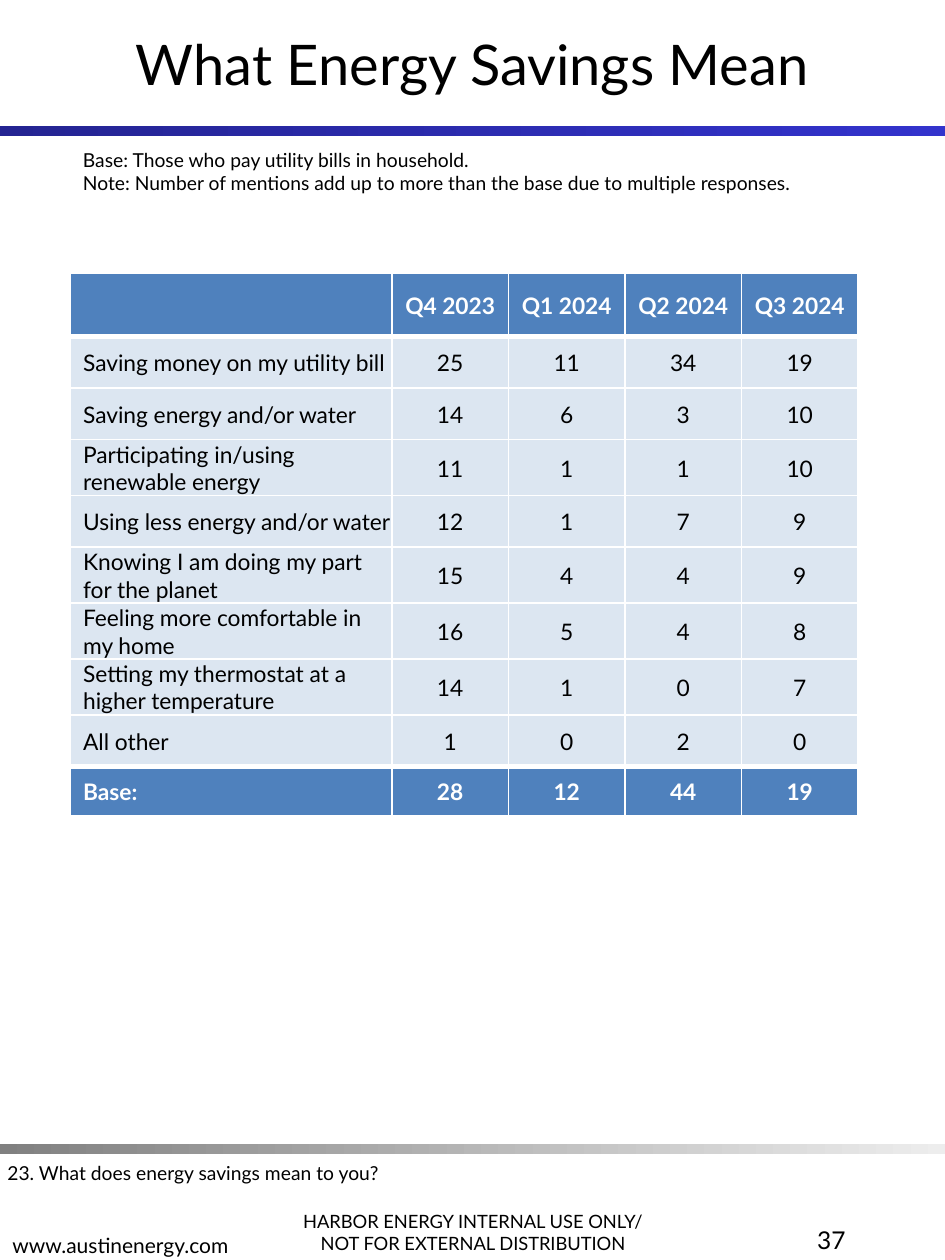
import pptx
import pptx.util
import pptx.dml.color
import pptx.enum.shapes
import pptx.enum.text
import pptx.oxml

WIDE, HIGH = 7.5, 10
FONT = "Lato"
BLACK, WHITE, BLUE, PALE = "000000", "FFFFFF", "4F81BD", "DCE6F1"
TITLE = "What Energy Savings Mean"
BARS = [(1, "242492", "3333CC"), (9.08, "808080", "EDEDED")]
ROWS = [
    ("", "Q4 2023", "Q1 2024", "Q2 2024", "Q3 2024"),
    ("Saving money on my utility bill", 25, 11, 34, 19),
    ("Saving energy and/or water", 14, 6, 3, 10),
    ("Participating in/using renewable energy", 11, 1, 1, 10),
    ("Using less energy and/or water", 12, 1, 7, 9),
    ("Knowing I am doing my part for the planet", 15, 4, 4, 9),
    ("Feeling more comfortable in my home", 16, 5, 4, 8),
    ("Setting my thermostat at a higher temperature", 14, 1, 0, 7),
    ("All other", 1, 0, 2, 0),
    ("Base:", 28, 12, 44, 19),
]
GRID = (0.56, 2.17, 6.25, 4.17)
FIRST, HEAD, BODY, FOOT = 2.55, 0.5, 0.41, 0.39
ALIGN = pptx.enum.text.PP_ALIGN
ANCHOR = pptx.enum.text.MSO_ANCHOR
NOTES = [
    ((2.16, 9.33, 3.19, 0.67), 10.5, ALIGN.CENTER, ANCHOR.BOTTOM, True,
     ["HARBOR ENERGY INTERNAL USE ONLY/", "NOT FOR EXTERNAL DISTRIBUTION"]),
    ((0, 9.36, 3.19, 0.67), 12, ALIGN.LEFT, ANCHOR.BOTTOM, True,
     ["www.austinenergy.com"]),
    ((5.25, 9.67, 1.56, 0.67), 14, ALIGN.RIGHT, ANCHOR.TOP, True, ["37"]),
    ((-0.04, 9.17, 6.85, 0.29), 11, ALIGN.LEFT, ANCHOR.TOP, True,
     ["23. What does energy savings mean to you?"]),
    ((0.56, 1.13, 5.96, 0.47), 11, ALIGN.LEFT, ANCHOR.TOP, False,
     ["Base: Those who pay utility bills in household.",
      "Note: Number of mentions add up to more than the base due to multiple responses."]),
]


def rgb(code):
    """Turn a hex string into a colour."""
    return pptx.dml.color.RGBColor.from_string(code)


def box(*sides):
    """Turn lengths in inches into slide units."""
    return [pptx.util.Inches(side) for side in sides]


def write(frame, lines, size, align, color=BLACK, bold=False):
    """Fill a text frame with evenly styled paragraphs."""
    frame.text = "\n".join(lines)
    for para in frame.paragraphs:
        para.alignment = align
        para.font.name = FONT
        para.font.size = pptx.util.Pt(size)
        para.font.bold = bold
        para.font.color.rgb = rgb(color)


def add_bar(slide, top, start, end):
    """Draw a full-width gradient bar."""
    bar = slide.shapes.add_shape(
        pptx.enum.shapes.MSO_SHAPE.RECTANGLE, *box(0, top, WIDE, 0.08))
    bar.shadow.inherit = False
    bar.line.fill.background()
    bar.fill.gradient()
    bar.fill.gradient_angle = 0
    for stop, code in zip(bar.fill.gradient_stops, (start, end)):
        stop.color.rgb = rgb(code)


def add_note(slide, place, size, align, anchor, wrap, lines):
    """Place a plain text box."""
    frame = slide.shapes.add_textbox(*box(*place)).text_frame
    frame.word_wrap = wrap
    frame.vertical_anchor = anchor
    write(frame, lines, size, align)


def edge(cell, widths):
    """Give a cell white borders of the given point widths."""
    props = cell._tc.get_or_add_tcPr()
    space = "http://schemas.openxmlformats.org/drawingml/2006/main"
    for spot, (side, width) in enumerate(zip("LRTB", widths)):
        props.insert(spot, pptx.oxml.parse_xml(
            f'<a:ln{side} xmlns:a="{space}" w="{pptx.util.Pt(width)}">'
            f'<a:solidFill><a:srgbClr val="{WHITE}"/></a:solidFill></a:ln{side}>'))


def add_grid(slide):
    """Build the table of mentions by quarter."""
    last, count = len(ROWS) - 1, len(ROWS[0])
    table = slide.shapes.add_table(len(ROWS), count, *box(*GRID)).table
    for col, column in enumerate(table.columns):
        rest = (GRID[2] - FIRST) / (count - 1)
        column.width = pptx.util.Inches(rest if col else FIRST)
    for row, values in enumerate(ROWS):
        table.rows[row].height = pptx.util.Inches({0: HEAD, last: FOOT}.get(row, BODY))
        strong = row in (0, last)
        above = 3 if row in (1, last) else 1
        below = 3 if row in (0, last - 1) else 1
        for col, value in enumerate(values):
            cell = table.cell(row, col)
            cell.fill.solid()
            cell.fill.fore_color.rgb = rgb(BLUE if strong else PALE)
            cell.vertical_anchor = ANCHOR.MIDDLE
            cell.margin_left, cell.margin_right, cell.margin_top, cell.margin_bottom = box(
                0.01 if col else 0.1, 0.01 if col else 0, 0.01, 0)
            write(cell.text_frame, [str(value)], 13, ALIGN.CENTER if col else ALIGN.LEFT,
                  WHITE if strong else BLACK, strong)
            edge(cell, (1, 1, above, below))


def main():
    """Build and save the slide."""
    deck = pptx.Presentation()
    deck.slide_width, deck.slide_height = box(WIDE, HIGH)
    slide = deck.slides.add_slide(deck.slide_layouts[5])
    for bar in BARS:
        add_bar(slide, *bar)
    title = slide.shapes.title
    title.left, title.top, title.width, title.height = box(0, 0, WIDE, 1)
    title.text_frame.vertical_anchor = ANCHOR.MIDDLE
    write(title.text_frame, [TITLE], 32, ALIGN.CENTER)
    add_grid(slide)
    for note in NOTES:
        add_note(slide, *note)
    deck.save("out.pptx")


if __name__ == "__main__":
    main()
